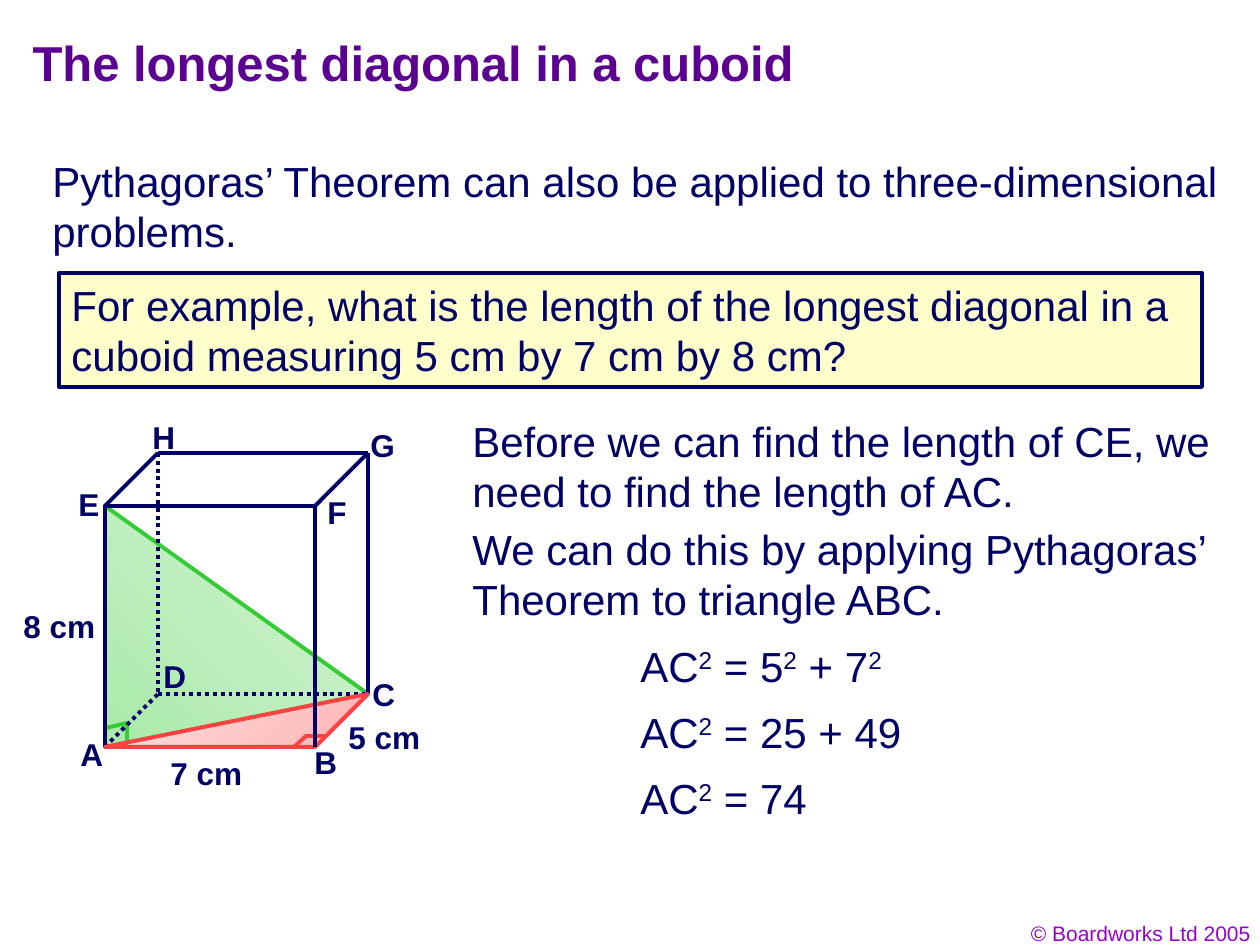
from dataclasses import dataclass

from lxml.etree import SubElement
from pptx import Presentation
from pptx.dml.color import RGBColor as RGB
from pptx.enum.dml import MSO_LINE as DASH
from pptx.enum.shapes import MSO_CONNECTOR as CONN, MSO_SHAPE as SHAPE
from pptx.enum.text import MSO_ANCHOR as ANCHOR, MSO_AUTO_SIZE as FIT, PP_ALIGN as ALIGN
from pptx.oxml.ns import qn
from pptx.util import Pt

EMU_PER_PX = 914400 / 126


def px(n):
    return round(n * EMU_PER_PX)


@dataclass(frozen=True)
class Theme:
    font: str = "Arial"
    title: str = "5B0091"
    text: str = "010066"
    edge: str = "000066"
    panel: str = "FFFFCC"
    footer: str = "9900CC"
    green: str = "33CC33"
    green_fill: tuple = ("D4F3D4", "AAEAAA")
    red: str = "FF4141"
    red_fill: tuple = ("FFB5B5", "FEDEDE")
    title_pt: int = 28
    body_pt: int = 24
    label_pt: int = 18
    footer_pt: int = 12
    line_pt: float = 2.25


class Deck:
    def __init__(self, theme):
        self.theme = theme
        self.prs = Presentation()
        self.prs.slide_width, self.prs.slide_height = px(1260), px(945)
        self.slide = self.prs.slides.add_slide(self.prs.slide_layouts[5])
        self.shapes = self.slide.shapes

    def style(self, p, size, color, bold=False, align=ALIGN.LEFT):
        p.alignment = align
        f = p.font
        f.name, f.size, f.bold = self.theme.font, Pt(size), bold
        f.color.rgb = RGB.from_string(color)

    def stroke(self, line, color):
        line.color.rgb = RGB.from_string(color)
        line.width = Pt(self.theme.line_pt)

    def title(self, text, x, y, w, h):
        sp = self.shapes.title
        sp.left, sp.top, sp.width, sp.height = map(px, (x, y, w, h))
        tf = sp.text_frame
        tf.text, tf.vertical_anchor = text, ANCHOR.MIDDLE
        self.style(tf.paragraphs[0], self.theme.title_pt, self.theme.title, True)

    def text(self, text, x, y, w, h, size=None, color=None, bold=False,
             align=ALIGN.LEFT, wrap=True):
        tf = self.shapes.add_textbox(*map(px, (x, y, w, h))).text_frame
        tf.word_wrap, tf.auto_size = wrap, FIT.SHAPE_TO_FIT_TEXT
        p = tf.paragraphs[0]
        for i, part in enumerate(text.split("^")):
            if i:
                r = p.add_run()
                r.text, part = part[0], part[1:]
                r._r.get_or_add_rPr().set("baseline", "30000")
            if part:
                p.add_run().text = part
        self.style(p, size or self.theme.body_pt, color or self.theme.text, bold, align)

    def label(self, text, x, y, w):
        self.text(text, x, y, w, 50, self.theme.label_pt, bold=True, wrap=False)

    def rect(self, x, y, w, h, fill=None, text=""):
        sp = self.shapes.add_shape(SHAPE.RECTANGLE, *map(px, (x, y, w, h)))
        sp.shadow.inherit = False
        self.stroke(sp.line, self.theme.edge)
        if fill:
            sp.fill.solid()
            sp.fill.fore_color.rgb = RGB.from_string(fill)
        else:
            sp.fill.background()
        if text:
            tf = sp.text_frame
            tf.text, tf.word_wrap, tf.vertical_anchor = text, True, ANCHOR.TOP
            self.style(tf.paragraphs[0], self.theme.body_pt, self.theme.text)

    def triangle(self, points, color, stops, angle):
        fb = self.shapes.build_freeform(*points[0], scale=EMU_PER_PX)
        fb.add_line_segments(points[1:], close=True)
        sp = fb.convert_to_shape()
        sp.shadow.inherit = False
        sp.fill.gradient()
        sp.fill.gradient_angle = angle
        for stop, stop_color in zip(sp.fill.gradient_stops, stops):
            stop.color.rgb = RGB.from_string(stop_color)
        self.stroke(sp.line, color)

    def line(self, start, end, color=None, dash=None):
        c = self.shapes.add_connector(CONN.STRAIGHT, *map(px, (*start, *end)))
        SubElement(c._element.spPr, qn("a:effectLst"))
        self.stroke(c.line, color or self.theme.edge)
        if dash:
            c.line.dash_style = dash


def main():
    th = Theme()
    deck = Deck(th)

    left, top, width, height, depth = 105, 506, 210, 241, 53
    v = {}
    for near, far, x, y in (("A", "D", left, top + height),
                            ("B", "C", left + width, top + height),
                            ("E", "H", left, top),
                            ("F", "G", left + width, top)):
        v[near], v[far] = (x, y), (x + depth, y - depth)

    deck.text("© Boardworks Ltd 2005", 969, 914, 294, 38, th.footer_pt, th.footer,
              align=ALIGN.RIGHT)
    deck.triangle([v[n] for n in "EAC"], th.green, th.green_fill, 225)
    deck.line((127, 723), (127, 742), th.green)
    deck.line((106, 728), (127, 723), th.green)

    deck.title("The longest diagonal in a cuboid", 20, 20, 1071, 84)
    deck.text("Pythagoras’ Theorem can also be applied to three-dimensional problems.",
              40, 149, 1195, 113)
    deck.rect(59, 273, 1143, 114, th.panel,
              "For example, what is the length of the longest diagonal in a "
              "cuboid measuring 5 cm by 7 cm by 8 cm?")
    deck.text("Before we can find the length of CE, we need to find the length of AC.",
              460, 409, 769, 113)

    deck.rect(left, top, width, height)
    for a, b in ("EH", "FG", "BC", "HG", "GC"):
        deck.line(v[a], v[b])
    for a, b in ("HD", "AD", "DC"):
        deck.line(v[a], v[b], dash=DASH.ROUND_DOT)

    for text, x, y in (("7 cm", 158, 748), ("5 cm", 336, 712), ("8 cm", 11, 601)):
        deck.label(text, x, y, 97)
    for text, x, y in (("A", 68, 729), ("B", 302, 737), ("C", 360, 669), ("D", 151, 651),
                       ("E", 66, 479), ("F", 315, 487), ("G", 358, 420), ("H", 140, 412)):
        deck.label(text, x, y, 48)

    deck.text("We can do this by applying Pythagoras’ Theorem to triangle ABC.",
              460, 517, 775, 113)

    deck.triangle([v[n] for n in "ACB"], th.red, th.red_fill, 135)
    deck.line((294, 747), (307, 735), th.red)
    deck.line((306, 736), (326, 736), th.red)
    deck.line(v["F"], v["B"])

    for i, step in enumerate(("AC^2 = 5^2 + 7^2", "AC^2 = 25 + 49", "AC^2 = 74")):
        deck.text(step, 628, 634 + 66 * i, 339, 63)

    deck.prs.save("out.pptx")


if __name__ == "__main__":
    main()
